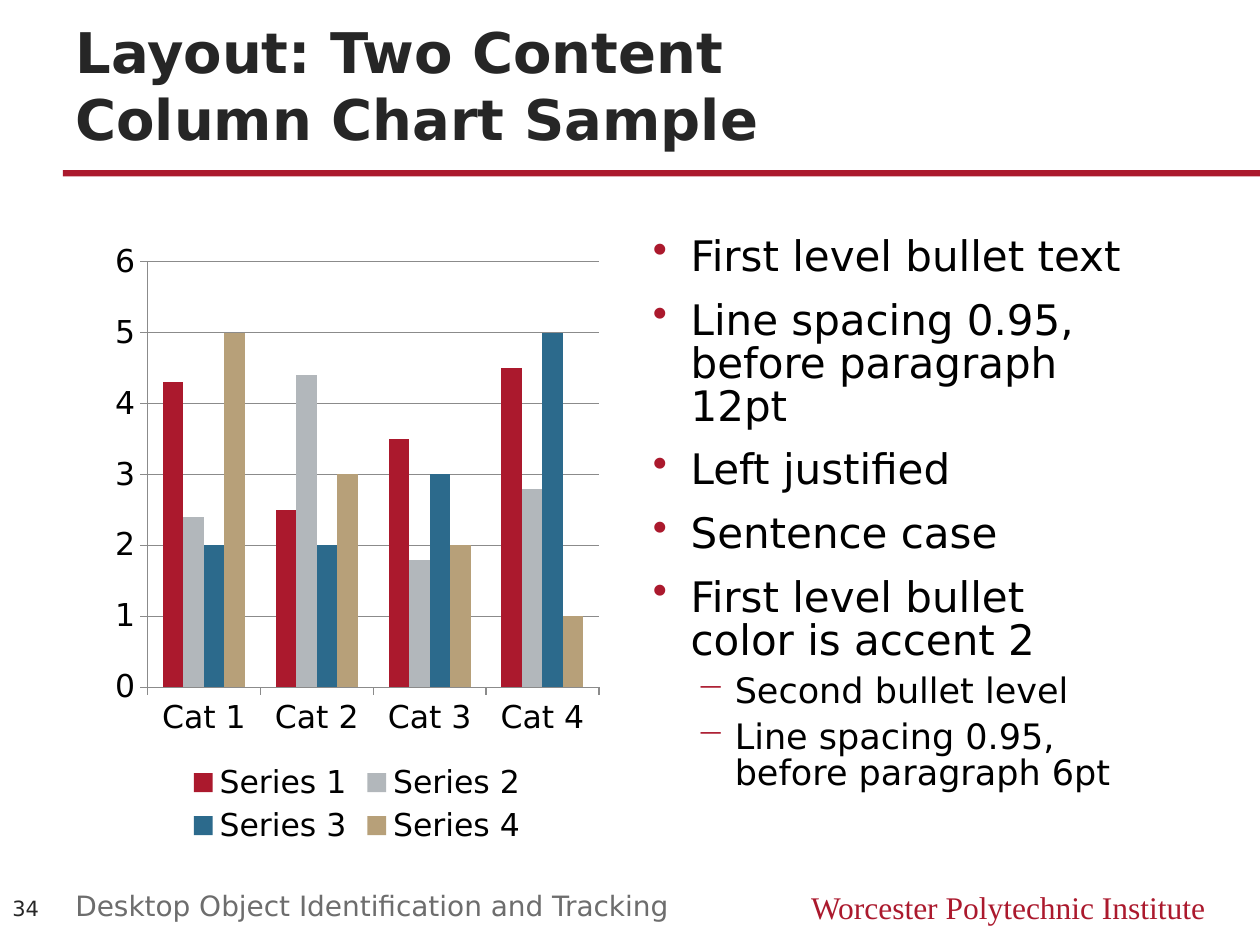
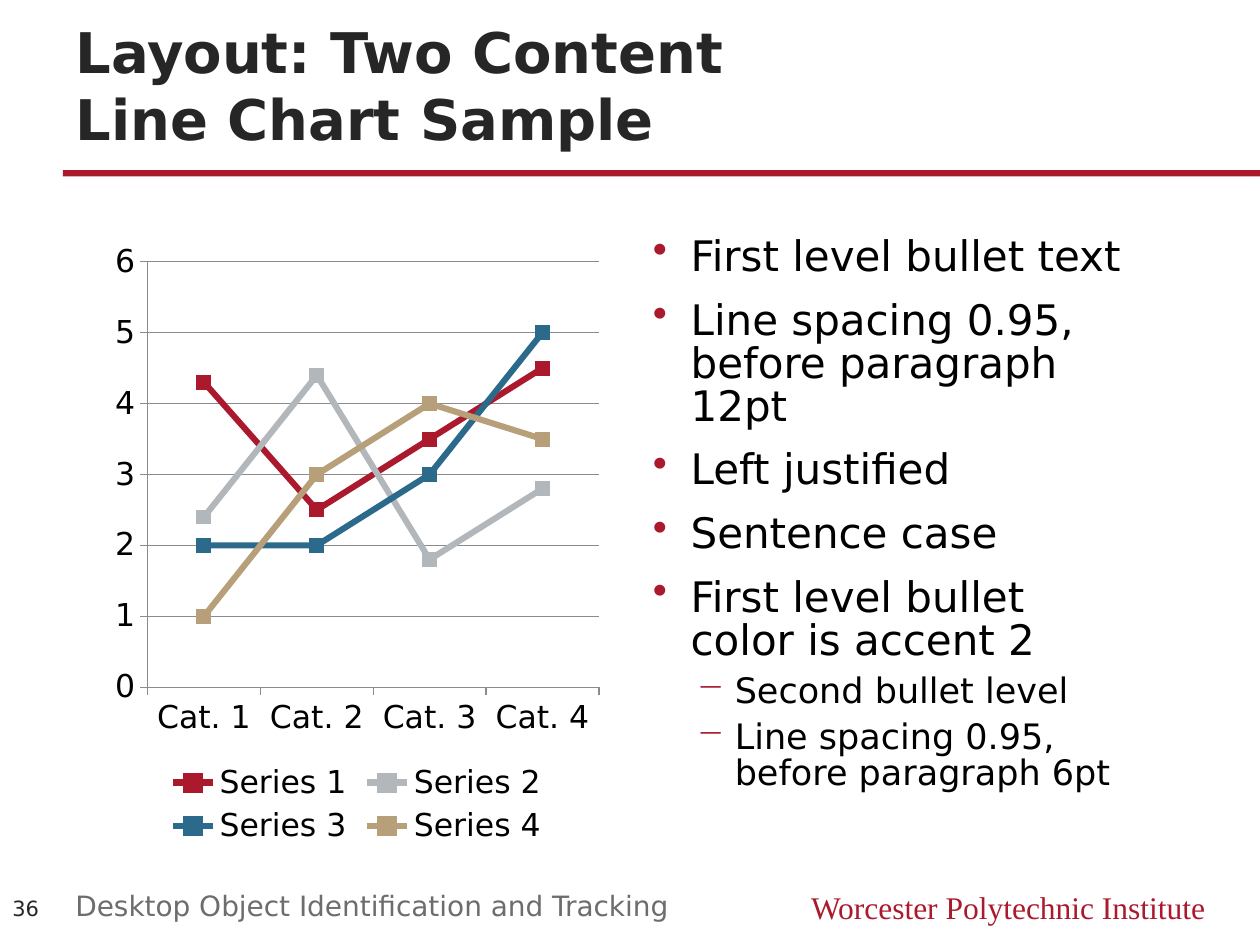
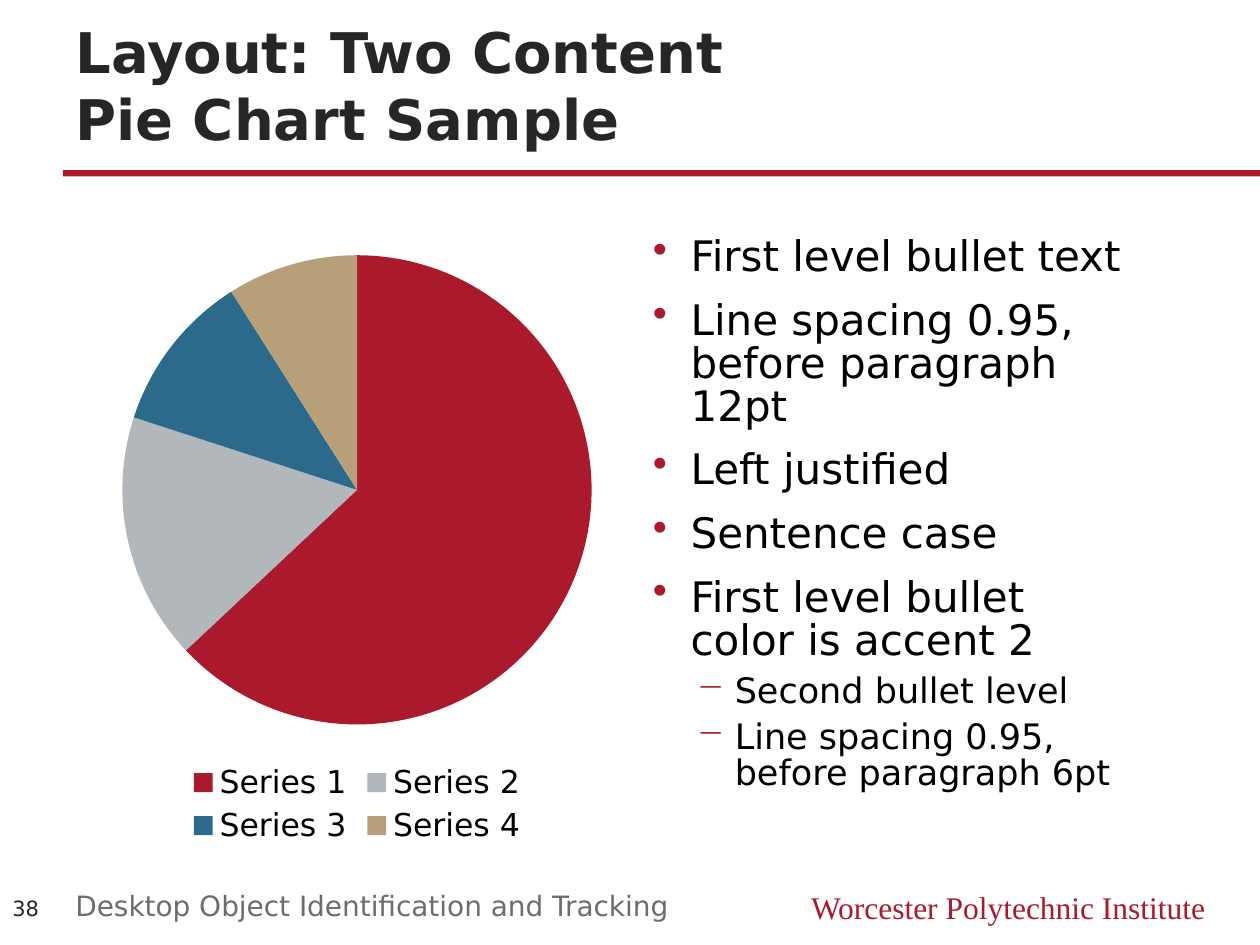
from dataclasses import dataclass

from lxml import etree
from pptx import Presentation
from pptx import util as u
from pptx.chart import data as chart_data
from pptx.dml.color import RGBColor
from pptx.enum import chart as chart_enum, shapes, text
from pptx.oxml import ns

Pt = u.Pt
ChartType = chart_enum.XL_CHART_TYPE


@dataclass(frozen=True)
class Theme:
    crimson: str = "AB192D"
    ink: str = "262626"
    black: str = "000000"
    footer_gray: str = "6D6D6D"
    grid_gray: str = "8B8B8B"
    series: tuple[str, ...] = ("AB192D", "B2B7BB", "2C6A8C", "B7A079")
    sans: str = "DejaVu Sans"
    serif: str = "Times New Roman"
    title_size: float = 32
    chart_size: float = 18
    brand_size: float = 18
    footer_size: float = 16
    number_size: float = 12


THEME = Theme()


@dataclass(frozen=True)
class Box:
    left: float
    top: float
    width: float
    height: float

    def lengths(self) -> tuple[u.Length, ...]:
        return Pt(self.left), Pt(self.top), Pt(self.width), Pt(self.height)


@dataclass(frozen=True)
class TextStyle:
    size: float
    color: str
    font: str = THEME.sans
    bold: bool = False


@dataclass(frozen=True)
class BulletLevel:
    symbol: str
    size: float
    margin: float
    space_before: float


@dataclass(frozen=True)
class ChartSlide:
    number: int
    title: str
    chart_type: ChartType
    categories: tuple[str, ...]
    series: tuple[tuple[float, ...], ...]


RULE_BOX = Box(36, 97.2, 684, 3.6)
BRAND_BOX = Box(432, 504, 264, 28.8)
TITLE_BOX = Box(36, 27, 648, 63.5)
CHART_BOX = Box(60, 132, 288, 354)
BODY_BOX = Box(366, 132, 288, 354)
NUMBER_BOX = Box(0, 503.5, 36, 31)
FOOTER_BOX = Box(36, 504, 402, 24)

BULLET_HANG = 21.6
LEVELS = (BulletLevel("•", 24, 21.6, 12), BulletLevel("─", 20, 46.8, 6))
BULLETS = (
    (0, "First level bullet text"),
    (0, "Line spacing 0.95, before paragraph 12pt"),
    (0, "Left justified"),
    (0, "Sentence case"),
    (0, "First level bullet color is accent 2"),
    (1, "Second bullet level"),
    (1, "Line spacing 0.95, before paragraph 6pt"),
)

SHARED_SERIES = ((4.3, 2.5, 3.5, 4.5), (2.4, 4.4, 1.8, 2.8), (2, 2, 3, 5))
SLIDES = (
    ChartSlide(34, "Column Chart Sample", ChartType.COLUMN_CLUSTERED,
               tuple(f"Cat {i}" for i in range(1, 5)), SHARED_SERIES + ((5, 3, 2, 1),)),
    ChartSlide(36, "Line Chart Sample", ChartType.LINE_MARKERS,
               tuple(f"Cat. {i}" for i in range(1, 5)), SHARED_SERIES + ((1, 3, 4, 3.5),)),
    ChartSlide(38, "Pie Chart Sample", ChartType.PIE,
               tuple(f"Series {i}" for i in range(1, 5)), ((63, 17, 11, 9),)),
)


def rgb(color: str) -> RGBColor:
    return RGBColor.from_string(color)


def apply_font(font, style: TextStyle) -> None:
    font.name = style.font
    font.size = Pt(style.size)
    font.bold = style.bold
    font.color.rgb = rgb(style.color)


def paint(fill, color: str) -> None:
    fill.solid()
    fill.fore_color.rgb = rgb(color)


def add_text(slide, box: Box, content: str, style: TextStyle,
             anchor=text.MSO_ANCHOR.TOP, align=text.PP_ALIGN.LEFT):
    frame = slide.shapes.add_textbox(*box.lengths()).text_frame
    frame.word_wrap = True
    frame.vertical_anchor = anchor
    frame.text = content
    for paragraph in frame.paragraphs:
        paragraph.alignment = align
        for run in paragraph.runs:
            apply_font(run.font, style)
    return frame


def format_bullet(paragraph, level: BulletLevel) -> None:
    properties = paragraph._p.get_or_add_pPr()
    properties.set("marL", str(Pt(level.margin)))
    properties.set("indent", str(-Pt(BULLET_HANG)))
    bullet_color = etree.SubElement(properties, ns.qn("a:buClr"))
    etree.SubElement(bullet_color, ns.qn("a:srgbClr"), val=THEME.crimson)
    etree.SubElement(properties, ns.qn("a:buChar"), char=level.symbol)


def add_bullets(slide) -> None:
    content = "\n".join(line for _, line in BULLETS)
    frame = add_text(slide, BODY_BOX, content, TextStyle(LEVELS[0].size, THEME.black))
    for index, (paragraph, (depth, _)) in enumerate(zip(frame.paragraphs, BULLETS)):
        level = LEVELS[depth]
        format_bullet(paragraph, level)
        paragraph.level = depth
        paragraph.line_spacing = 0.85
        paragraph.space_before = Pt(level.space_before if index else 0)
        paragraph.runs[0].font.size = Pt(level.size)


def add_frame(slide, item: ChartSlide) -> None:
    rule = slide.shapes.add_shape(shapes.MSO_SHAPE.RECTANGLE, *RULE_BOX.lengths())
    rule.shadow.inherit = False
    paint(rule.fill, THEME.crimson)
    rule.line.fill.background()
    add_text(slide, BRAND_BOX, "Worcester Polytechnic Institute",
             TextStyle(THEME.brand_size, THEME.crimson, THEME.serif),
             align=text.PP_ALIGN.RIGHT)
    add_text(slide, TITLE_BOX, f"Layout: Two Content \v{item.title}",
             TextStyle(THEME.title_size, THEME.ink, bold=True), text.MSO_ANCHOR.BOTTOM)
    add_text(slide, NUMBER_BOX, str(item.number),
             TextStyle(THEME.number_size, THEME.ink), text.MSO_ANCHOR.MIDDLE)
    add_text(slide, FOOTER_BOX, "Desktop Object Identification and Tracking",
             TextStyle(THEME.footer_size, THEME.footer_gray))


def format_axes(chart) -> None:
    value_axis = chart.value_axis
    value_axis.minimum_scale, value_axis.maximum_scale, value_axis.major_unit = 0, 6, 1
    value_axis.has_major_gridlines = True
    for axis in (chart.category_axis, value_axis):
        axis.major_tick_mark = chart_enum.XL_TICK_MARK.OUTSIDE
        axis.minor_tick_mark = chart_enum.XL_TICK_MARK.NONE
    for item in (chart.category_axis, value_axis, value_axis.major_gridlines):
        item.format.line.color.rgb = rgb(THEME.grid_gray)
        item.format.line.width = Pt(0.75)


def color_chart(chart, chart_type: ChartType) -> None:
    plot = chart.plots[0]
    if chart_type == ChartType.PIE:
        plot.vary_by_categories = True
        for index, color in enumerate(THEME.series):
            paint(plot.series[0].points[index].format.fill, color)
        return
    plot.vary_by_categories = False
    format_axes(chart)
    if chart_type == ChartType.COLUMN_CLUSTERED:
        plot.gap_width = 150
        plot.overlap = 0
    for series, color in zip(plot.series, THEME.series):
        if chart_type == ChartType.COLUMN_CLUSTERED:
            paint(series.format.fill, color)
            continue
        series.smooth = False
        series.format.line.color.rgb = rgb(color)
        series.format.line.width = Pt(3.5)
        series.marker.style = chart_enum.XL_MARKER_STYLE.SQUARE
        series.marker.size = 8
        paint(series.marker.format.fill, color)
        series.marker.format.line.color.rgb = rgb(color)


def add_chart(slide, item: ChartSlide) -> None:
    data = chart_data.CategoryChartData()
    data.categories = item.categories
    for index, values in enumerate(item.series, 1):
        data.add_series(f"Series {index}", values)
    chart = slide.shapes.add_chart(item.chart_type, *CHART_BOX.lengths(), data).chart
    apply_font(chart.font, TextStyle(THEME.chart_size, THEME.black))
    chart.has_title = False
    chart.has_legend = True
    chart.legend.position = chart_enum.XL_LEGEND_POSITION.BOTTOM
    chart.legend.include_in_layout = False
    color_chart(chart, item.chart_type)


def main() -> None:
    presentation = Presentation()
    presentation.slide_width = Pt(720)
    presentation.slide_height = Pt(540)
    for item in SLIDES:
        slide = presentation.slides.add_slide(presentation.slide_layouts[6])
        add_frame(slide, item)
        add_chart(slide, item)
        add_bullets(slide)
    presentation.save("out.pptx")


if __name__ == "__main__":
    main()
